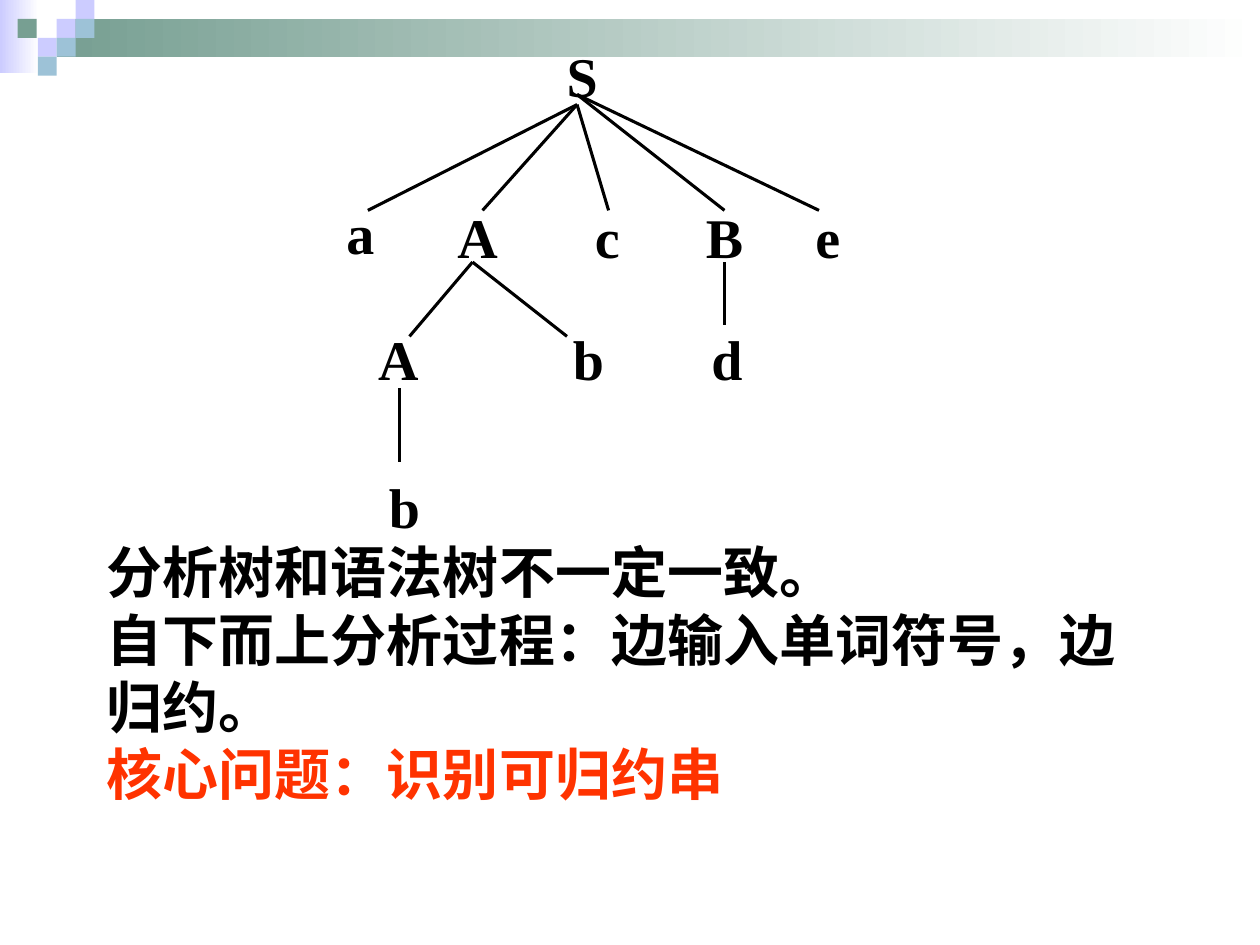
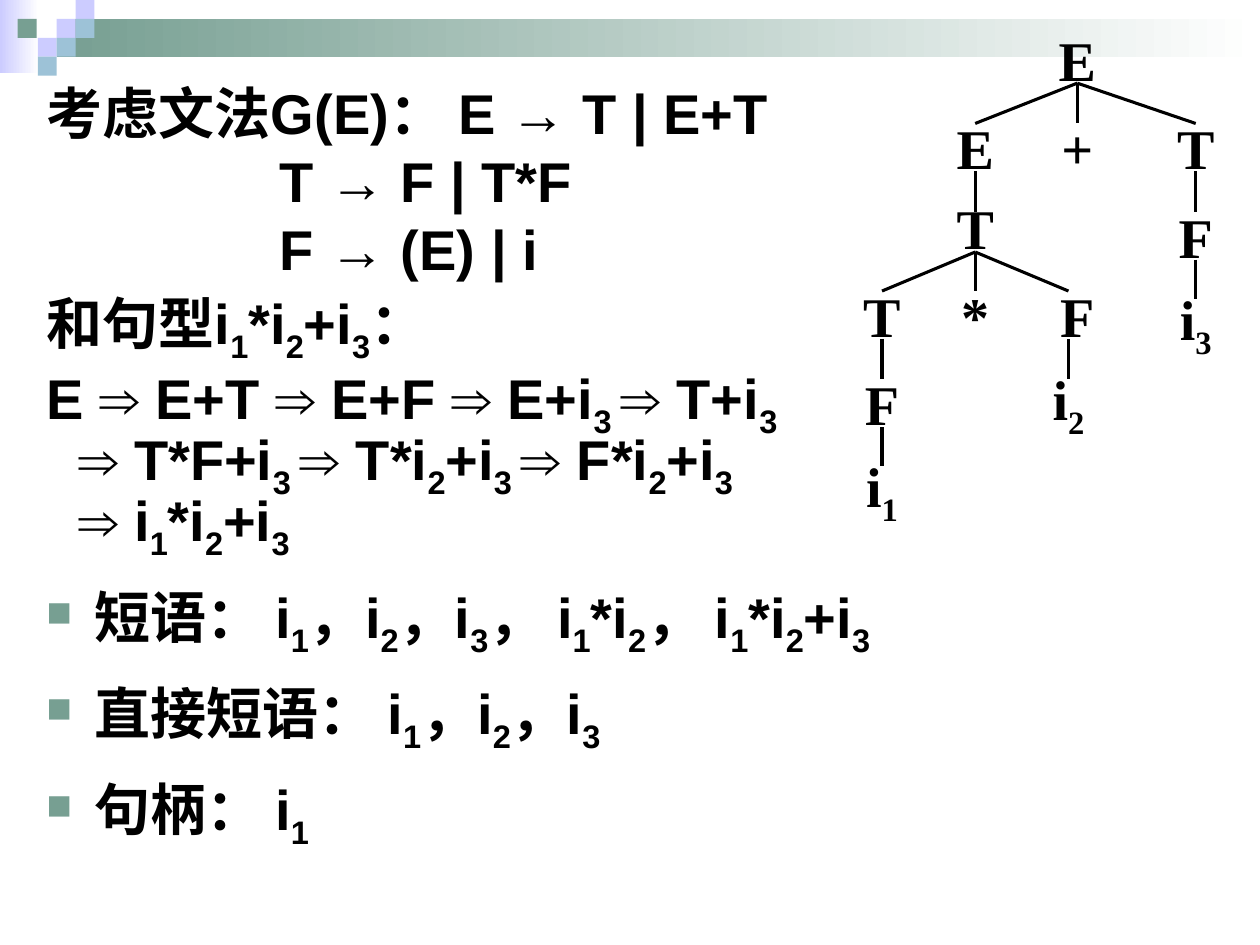
from dataclasses import dataclass
from typing import NamedTuple

from lxml.etree import SubElement
from pptx import Presentation
from pptx.dml.color import RGBColor as Rgb
from pptx.enum.shapes import MSO_CONNECTOR as Link, MSO_SHAPE as Form
from pptx.enum.text import MSO_ANCHOR as Anchor, MSO_AUTO_SIZE as Fit, PP_ALIGN as Align
from pptx.oxml.ns import qn
from pptx.slide import Slide
from pptx.util import Inches, Pt


@dataclass(frozen=True)
class Theme:
    ink: str = "000000"
    red: str = "FF3300"
    sage: str = "779F92"
    lilac: str = "CCCCFF"
    sky: str = "9DC2D7"
    white: str = "FFFFFF"
    sans: str = "Arial"
    serif: str = "Times New Roman"
    han: str = "Noto Sans CJK SC"
    size: float = 32
    rule: float = 1.75
    tile: float = 0.15


class Band(NamedTuple):
    left: float
    top: float
    width: float
    height: float
    tint: str


class Tile(NamedTuple):
    left: float
    row: int
    tint: str


class Node(NamedTuple):
    text: str
    mid: float
    top: float


class Fan(NamedTuple):
    left: float
    top: float
    end: float
    tips: tuple[float, ...]


class Tree(NamedTuple):
    width: float
    height: float
    nodes: list[Node]
    fans: list[Fan]


class Line(NamedTuple):
    text: str
    before: float = 0
    left: float = 0
    mark: bool = False


LOOK = Theme()

BANDS = [
    Band(0, 0, 0.31, 0.58, LOOK.lilac),
    Band(0.45, 0.15, 9.55, 0.3, LOOK.sage),
]
TILES = [
    Tile(0.45, 1, LOOK.lilac),
    Tile(0.6, 0, LOOK.lilac),
    Tile(0.6, 1, LOOK.sky),
    Tile(0.3, 2, LOOK.lilac),
    Tile(0.14, 1, LOOK.sage),
    Tile(0.45, 2, LOOK.sky),
    Tile(0.3, 3, LOOK.sky),
]

PARSE = Tree(
    0.32,
    0.53,
    [
        Node("S", 4.62, 0.33),
        Node("a", 2.86, 1.58),
        Node("A", 3.79, 1.61),
        Node("c", 4.82, 1.61),
        Node("B", 5.75, 1.61),
        Node("e", 6.57, 1.61),
        Node("A", 3.16, 2.58),
        Node("b", 4.67, 2.58),
        Node("d", 5.77, 2.58),
        Node("b", 3.21, 3.75),
    ],
    [
        Fan(4.58, 0.83, 1.67, (2.92, 3.83, 4.83)),
        Fan(4.58, 0.75, 1.67, (5.75, 6.5)),
        Fan(3.75, 2.08, 2.67, (3.25, 4.5)),
        Fan(5.75, 2.08, 2.58, (5.75,)),
        Fan(3.17, 3.08, 3.67, (3.17,)),
    ],
)
PHRASE = Tree(
    0.54,
    0.38,
    [
        Node("E", 8.55, 0.28),
        Node("E", 7.74, 0.98),
        Node("+", 8.55, 0.98),
        Node("T", 9.49, 0.98),
        Node("T", 7.74, 1.61),
        Node("F", 9.49, 1.68),
        Node("T", 7, 2.31),
        Node("*", 7.74, 2.31),
        Node("F", 8.55, 2.31),
        Node("i_3", 9.49, 2.37),
        Node("F", 7, 3.01),
        Node("i_2", 8.48, 3.01),
        Node("i_1", 7, 3.7),
    ],
    [
        Fan(8.55, 0.66, 0.98, (7.74, 8.55, 9.49)),
        Fan(7.74, 1.36, 1.68, (7.74,)),
        Fan(9.49, 1.36, 1.68, (9.49,)),
        Fan(7.74, 2, 2.31, (7, 7.74, 8.48)),
        Fan(9.49, 2.06, 2.37, (9.49,)),
        Fan(7, 2.69, 3.01, (7,)),
        Fan(8.48, 2.69, 3.01, (8.48,)),
        Fan(7, 3.39, 3.7, (7,)),
    ],
)

NOTES = [
    ("分析树和语法树不一定一致。", LOOK.ink),
    ("自下而上分析过程：边输入单词符号，边归约。", LOOK.ink),
    ("核心问题：识别可归约串", LOOK.red),
]
LINES = [
    Line("考虑文法G(E)： E → T | E+T"),
    Line("T → F | T*F", 8, 1.85),
    Line("F → (E) | i", 8, 1.85),
    Line("和句型i_1*i_2+i_3：", 8),
    Line("E ⇒ E+T ⇒ E+F ⇒ E+i_3 ⇒ T+i_3", 8),
    Line("⇒ T*F+i_3 ⇒ T*i_2+i_3 ⇒ F*i_2+i_3", 0, 0.25),
    Line("⇒ i_1*i_2+i_3", 0, 0.25),
    Line("短语： i_1，i_2，i_3， i_1*i_2， i_1*i_2+i_3", 20, 0.38, True),
    Line("直接短语： i_1，i_2，i_3", 20, 0.38, True),
    Line("句柄： i_1", 20, 0.38, True),
]


def style(run, face: str, tint: str = LOOK.ink) -> None:
    font = run.font
    font.size, font.bold, font.name = Pt(LOOK.size), True, face
    font.color.rgb = Rgb.from_string(tint)
    SubElement(run._r.get_or_add_rPr(), qn("a:ea"), typeface=LOOK.han)


def write(para, text: str, face: str) -> None:
    head, *rest = text.split("_")
    parts = [(head, False)]
    for part in rest:
        cut = 2 if part[1:2] == " " else 1
        parts += [(part[:cut], True), (part[cut:], False)]
    for word, low in parts:
        if word:
            run = para.add_run()
            run.text = word
            style(run, face)
            if low:
                run.font._element.set("baseline", "-25000")


def indent(para, line: Line) -> None:
    props = para._p.get_or_add_pPr()
    props.set("marL", str(Inches(line.left)))
    props.set("indent", str(-Inches(line.left) if line.mark else 0))
    if line.mark:
        tint = SubElement(props, qn("a:buClr"))
        SubElement(tint, qn("a:srgbClr"), val=LOOK.sage)
        SubElement(props, qn("a:buSzPct"), val="75000")
        SubElement(props, qn("a:buFont"), typeface=LOOK.sans)
        SubElement(props, qn("a:buChar"), char="■")
    else:
        SubElement(props, qn("a:buNone"))
    para.line_spacing = 0.8
    para.space_before = Pt(line.before)
    para.space_after = Pt(0)


def block(slide: Slide, left: float, top: float, width: float, height: float):
    shape = slide.shapes.add_shape(
        Form.RECTANGLE, Inches(left), Inches(top), Inches(width), Inches(height)
    )
    shape.shadow.inherit = False
    shape.line.fill.background()
    return shape.fill


def frame(slide: Slide) -> None:
    for band in BANDS:
        fill = block(slide, *band[:4])
        fill.gradient()
        fill.gradient_angle = 0
        for stop, tint, place in zip(fill.gradient_stops, (band.tint, LOOK.white), (0, 1)):
            stop.color.rgb = Rgb.from_string(tint)
            stop.position = place
    for tile in TILES:
        fill = block(slide, tile.left, tile.row * LOOK.tile, LOOK.tile, LOOK.tile)
        fill.solid()
        fill.fore_color.rgb = Rgb.from_string(tile.tint)


def label(slide: Slide, node: Node, width: float, height: float) -> None:
    box = slide.shapes.add_textbox(
        Inches(node.mid - width / 2), Inches(node.top), Inches(width), Inches(height)
    )
    text = box.text_frame
    text.margin_left = text.margin_right = text.margin_top = text.margin_bottom = 0
    text.word_wrap = False
    text.vertical_anchor = Anchor.MIDDLE
    para = text.paragraphs[0]
    para.alignment = Align.CENTER
    write(para, node.text, LOOK.serif)


def branch(slide: Slide, fan: Fan) -> None:
    for tip in fan.tips:
        edge = slide.shapes.add_connector(
            Link.STRAIGHT, Inches(fan.left), Inches(fan.top), Inches(tip), Inches(fan.end)
        )
        edge.line.color.rgb = Rgb.from_string(LOOK.ink)
        edge.line.width = Pt(LOOK.rule)
        SubElement(edge._element.spPr, qn("a:effectLst"))


def plant(slide: Slide, tree: Tree) -> None:
    for node in tree.nodes:
        label(slide, node, tree.width, tree.height)
    for fan in tree.fans:
        branch(slide, fan)


def notes(slide: Slide) -> None:
    box = slide.shapes.add_textbox(Inches(0.75), Inches(4.22), Inches(8.5), Inches(2.42))
    text = box.text_frame
    text.word_wrap = True
    text.text = "\n".join(words for words, _ in NOTES)
    for para, (_, tint) in zip(text.paragraphs, NOTES):
        style(para.runs[0], LOOK.han, tint)


def derive(slide: Slide) -> None:
    title, body = slide.placeholders
    title.element.getparent().remove(title.element)
    body.left, body.top = Inches(0.27), Inches(0.68)
    body.width, body.height = Inches(8.67), Inches(6.24)
    text = body.text_frame
    text.auto_size = Fit.NONE
    text.word_wrap = True
    for count, line in enumerate(LINES):
        para = text.add_paragraph() if count else text.paragraphs[0]
        indent(para, line)
        write(para, line.text, LOOK.sans)


def main() -> None:
    deck = Presentation()
    deck.slide_width, deck.slide_height = Inches(10), Inches(7.5)
    first = deck.slides.add_slide(deck.slide_layouts[6])
    frame(first)
    plant(first, PARSE)
    notes(first)
    second = deck.slides.add_slide(deck.slide_layouts[1])
    frame(second)
    derive(second)
    plant(second, PHRASE)
    deck.save("out.pptx")


if __name__ == "__main__":
    main()
